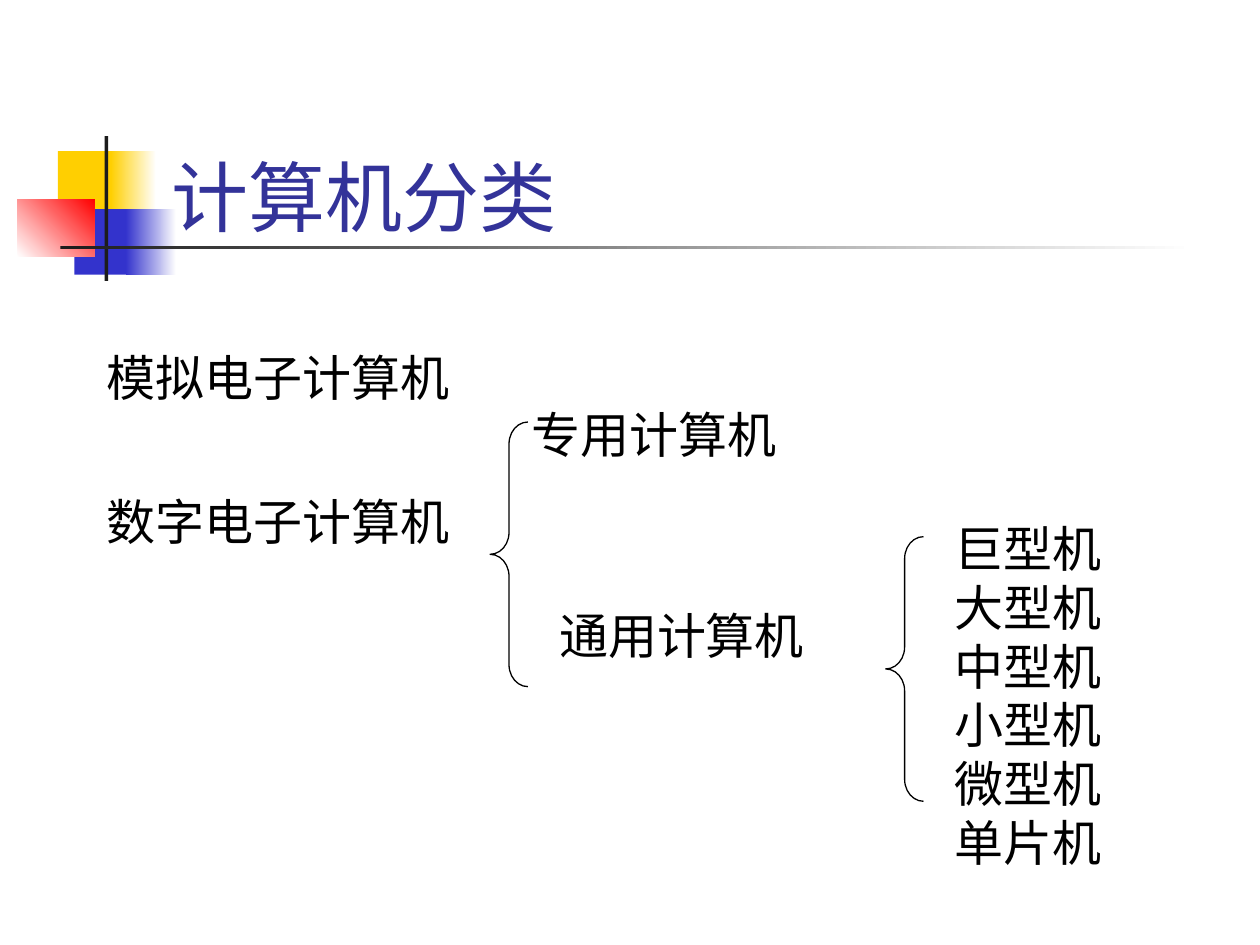
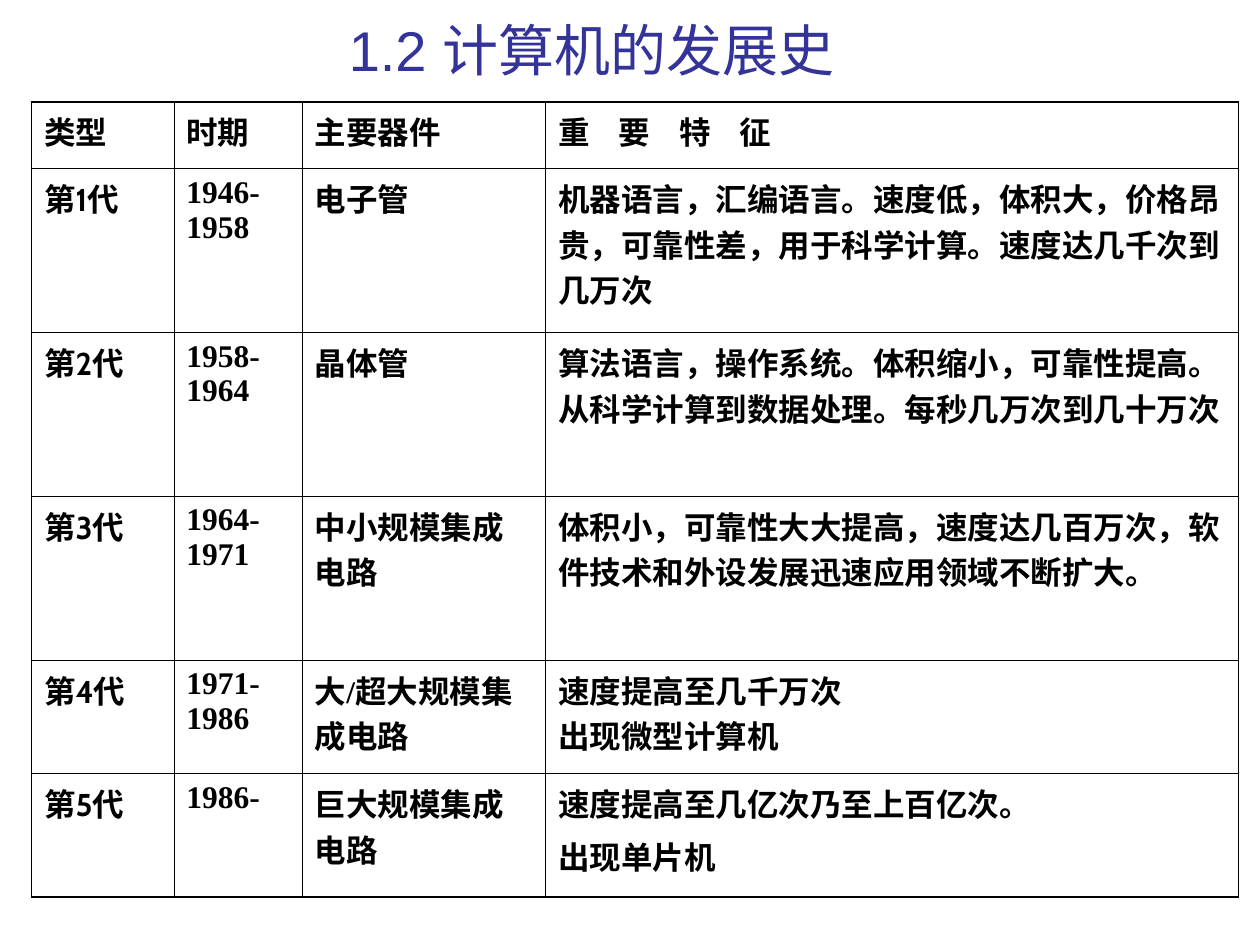
from dataclasses import dataclass
from typing import Optional

from lxml import etree
from pptx import Presentation
from pptx.dml import color
from pptx.enum import shapes, text
from pptx.oxml import ns
from pptx.util import Inches, Pt


@dataclass(frozen=True)
class Theme:
    title: str = "333399"
    ink: str = "000000"
    white: str = "FFFFFF"
    yellow: str = "FFCF01"
    blue: str = "3333CC"
    red: str = "FF0000"
    rule: str = "1C1C1C"
    title_font: str = "Cabin"
    heading_font: str = "Arial"
    body_font: str = "Noto Sans CJK SC"
    table_font: str = "Times New Roman"
    title_size: float = 44
    heading_size: float = 32
    body_size: float = 28
    table_size: float = 18
    body_leading: float = 33.5
    table_gap: float = 4.5
    inner_border: float = 0.45
    outer_border: float = 1.08


THEME = Theme()


@dataclass(frozen=True)
class Box:
    left: float
    top: float
    width: float
    height: float

    def lengths(self) -> tuple:
        return tuple(Inches(n) for n in (self.left, self.top, self.width, self.height))


@dataclass(frozen=True)
class Block:
    box: Box
    start: str
    end: Optional[str] = None
    angle: float = 0


@dataclass(frozen=True)
class TextStyle:
    font: str
    size: float
    color: str
    bold: bool = False


@dataclass(frozen=True)
class Label:
    box: Box
    lines: tuple


@dataclass(frozen=True)
class Generation:
    name: str
    period: str
    device: str
    features: tuple
    closing: str = ""
    gap: float = 0


TITLE = TextStyle(THEME.title_font, THEME.title_size, THEME.title)
HEADING = TextStyle(THEME.heading_font, THEME.heading_size, THEME.title)
BODY = TextStyle(THEME.body_font, THEME.body_size, THEME.ink)
TABLE = TextStyle(THEME.table_font, THEME.table_size, THEME.ink, True)
TABLE_NAME = TextStyle(THEME.title_font, THEME.table_size, THEME.ink, True)

DECORATION = (
    Block(Box(0.46, 1.2, 0.48, 0.52), THEME.yellow),
    Block(Box(0.88, 1.2, 0.36, 0.52), THEME.yellow, THEME.white),
    Block(Box(0.59, 1.66, 0.46, 0.52), THEME.blue),
    Block(Box(1, 1.66, 0.4, 0.52), THEME.blue, THEME.white),
    Block(Box(0.14, 1.58, 0.61, 0.46), THEME.white, THEME.red, 45),
    Block(Box(0.83, 1.08, 0.03, 1.15), THEME.rule),
    Block(Box(0.48, 1.95, 9, 0.03), THEME.rule, THEME.white),
)
BRACES = (Box(3.89, 3.35, 0.3, 2.1), Box(7.03, 4.26, 0.3, 2.1))
LABELS = (
    Label(Box(7.48, 4.03, 2.02, 2.97),
          ("巨型机", "大型机", "中型机", "小型机", "微型机", "单片机")),
    Label(Box(4.34, 4.72, 2.24, 0.91), ("通用计算机",)),
    Label(Box(4.12, 3.12, 2.24, 0.91), ("专用计算机",)),
    Label(Box(0.75, 2.67, 3.14, 0.91), ("模拟电子计算机",)),
    Label(Box(0.75, 3.81, 3.14, 1.14), ("数字电子计算机",)),
)
TABLE_BOX = Box(0.25, 0.81, 9.58, 6.31)
COLUMNS = (1.13, 1.02, 1.93, 5.5)
ROWS = (0.53, 1.3, 1.3, 1.3, 0.9, 0.98)
HEADER_TAB = 0.48
HEADER = Generation("类型", "时期", "主要器件", ("重\t要\t特\t征",))
GENERATIONS = (
    Generation("第1代", "1946-1958", "电子管",
               ("机器语言，汇编语言。速度低，体积大，价格昂贵，可靠性差，用于科学计算。",),
               "速度达几千次到几万次"),
    Generation("第2代", "1958-1964", "晶体管",
               ("算法语言，操作系统。体积缩小，可靠性提高。从科学计算到数据处理。",),
               "每秒几万次到几十万次"),
    Generation("第3代", "1964-1971", "中小规模集成电路",
               ("体积小，可靠性大大提高，速度达几百万次，软件技术和外设发展迅速应用领域不断扩大。",)),
    Generation("第4代", "1971-1986", "大/超大规模集成电路",
               ("速度提高至几千万次", "出现微型计算机")),
    Generation("第5代", "1986-", "巨大规模集成电路",
               ("速度提高至几亿次乃至上百亿次。", "出现单片机"), gap=THEME.table_gap),
)


def rgb(value: str) -> color.RGBColor:
    return color.RGBColor.from_string(value)


def add_tabs(paragraph, step: float, count: int) -> None:
    tab_list = etree.SubElement(paragraph._p.get_or_add_pPr(), ns.qn("a:tabLst"))
    for number in range(1, count + 1):
        etree.SubElement(tab_list, ns.qn("a:tab"),
                         pos=str(Inches(step * number)), algn="l")


def style_paragraph(paragraph, style: TextStyle) -> None:
    font = paragraph.font
    font.name = style.font
    font.size = Pt(style.size)
    font.bold = style.bold
    font.color.rgb = rgb(style.color)
    latin = paragraph._p.pPr.find(ns.qn("a:defRPr")).find(ns.qn("a:latin"))
    east_asian = etree.Element(ns.qn("a:ea"), typeface=THEME.body_font)
    latin.addnext(east_asian)


def write_lines(frame, lines: tuple, style: TextStyle, gap: float = 0) -> None:
    for index, line in enumerate(lines):
        paragraph = frame.add_paragraph() if index else frame.paragraphs[0]
        paragraph.add_run().text = line
        if index and gap:
            paragraph.space_before = Pt(gap)
        if "\t" in line:
            add_tabs(paragraph, HEADER_TAB, line.count("\t"))
        style_paragraph(paragraph, style)


def add_text(slide, box: Box, lines: tuple, style: TextStyle, anchor):
    frame = slide.shapes.add_textbox(*box.lengths()).text_frame
    frame.word_wrap = True
    frame.vertical_anchor = anchor
    write_lines(frame, lines, style)
    return frame


def add_block(slide, block: Block) -> None:
    shape = slide.shapes.add_shape(shapes.MSO_SHAPE.RECTANGLE, *block.box.lengths())
    shape.shadow.inherit = False
    shape.line.fill.background()
    if block.end is None:
        shape.fill.solid()
        shape.fill.fore_color.rgb = rgb(block.start)
        return
    shape.fill.gradient()
    shape.fill.gradient_angle = block.angle
    for stop, value, position in zip(shape.fill.gradient_stops,
                                     (block.start, block.end), (0, 1)):
        stop.color.rgb = rgb(value)
        stop.position = position


def add_brace(slide, box: Box) -> None:
    brace = slide.shapes.add_shape(shapes.MSO_SHAPE.LEFT_BRACE, *box.lengths())
    brace.adjustments[0] = 0.58
    brace.shadow.inherit = False
    brace.fill.background()
    brace.line.color.rgb = rgb(THEME.ink)
    brace.line.width = Pt(0.75)


def add_label(slide, label: Label) -> None:
    frame = add_text(slide, label.box, label.lines, BODY, text.MSO_ANCHOR.TOP)
    frame.margin_top = Inches(0.09)
    for paragraph in frame.paragraphs:
        paragraph.alignment = text.PP_ALIGN.JUSTIFY
        paragraph.line_spacing = Pt(THEME.body_leading)


def set_borders(cell, row: int, column: int) -> None:
    outer_sides = {
        "a:lnL": column == 0,
        "a:lnR": column == len(COLUMNS) - 1,
        "a:lnT": row == 0,
        "a:lnB": row == len(ROWS) - 1,
    }
    properties = cell._tc.get_or_add_tcPr()
    for tag, outer in outer_sides.items():
        width = THEME.outer_border if outer else THEME.inner_border
        line = etree.SubElement(properties, ns.qn(tag), w=str(Pt(width)))
        fill = etree.SubElement(line, ns.qn("a:solidFill"))
        etree.SubElement(fill, ns.qn("a:srgbClr"), val=THEME.ink)


def add_generation_table(slide) -> None:
    table = slide.shapes.add_table(len(ROWS), len(COLUMNS), *TABLE_BOX.lengths()).table
    table.first_row = False
    table.horz_banding = False
    for column, width in zip(table.columns, COLUMNS):
        column.width = Inches(width)
    for row, height in zip(table.rows, ROWS):
        row.height = Inches(height)
    for row_index, entry in enumerate((HEADER, *GENERATIONS)):
        period_style = TABLE if row_index else TABLE_NAME
        contents = (
            ((entry.name,), TABLE_NAME),
            ((entry.period,), period_style),
            ((entry.device,), TABLE),
            (entry.features, TABLE),
        )
        for column_index, (lines, style) in enumerate(contents):
            cell = table.cell(row_index, column_index)
            set_borders(cell, row_index, column_index)
            cell.fill.background()
            write_lines(cell.text_frame, lines, style, entry.gap)
        if entry.closing:
            run = cell.text_frame.paragraphs[-1].add_run()
            run.text = entry.closing
            run.font.name = THEME.body_font


def build_classification(slide) -> None:
    for block in DECORATION:
        add_block(slide, block)
    add_text(slide, Box(1.26, 0.72, 8.52, 1.25), ("计算机分类",), TITLE,
             text.MSO_ANCHOR.BOTTOM)
    for box in BRACES:
        add_brace(slide, box)
    for label in LABELS:
        add_label(slide, label)


def build_history(slide) -> None:
    add_generation_table(slide)
    add_text(slide, Box(2.67, 0.1, 5.25, 0.58), ("1.2 计算机的发展史",), HEADING,
             text.MSO_ANCHOR.MIDDLE)


def main() -> None:
    presentation = Presentation()
    presentation.slide_width = Inches(10)
    presentation.slide_height = Inches(7.5)
    for build in (build_classification, build_history):
        build(presentation.slides.add_slide(presentation.slide_layouts[6]))
    presentation.save("out.pptx")


if __name__ == "__main__":
    main()
